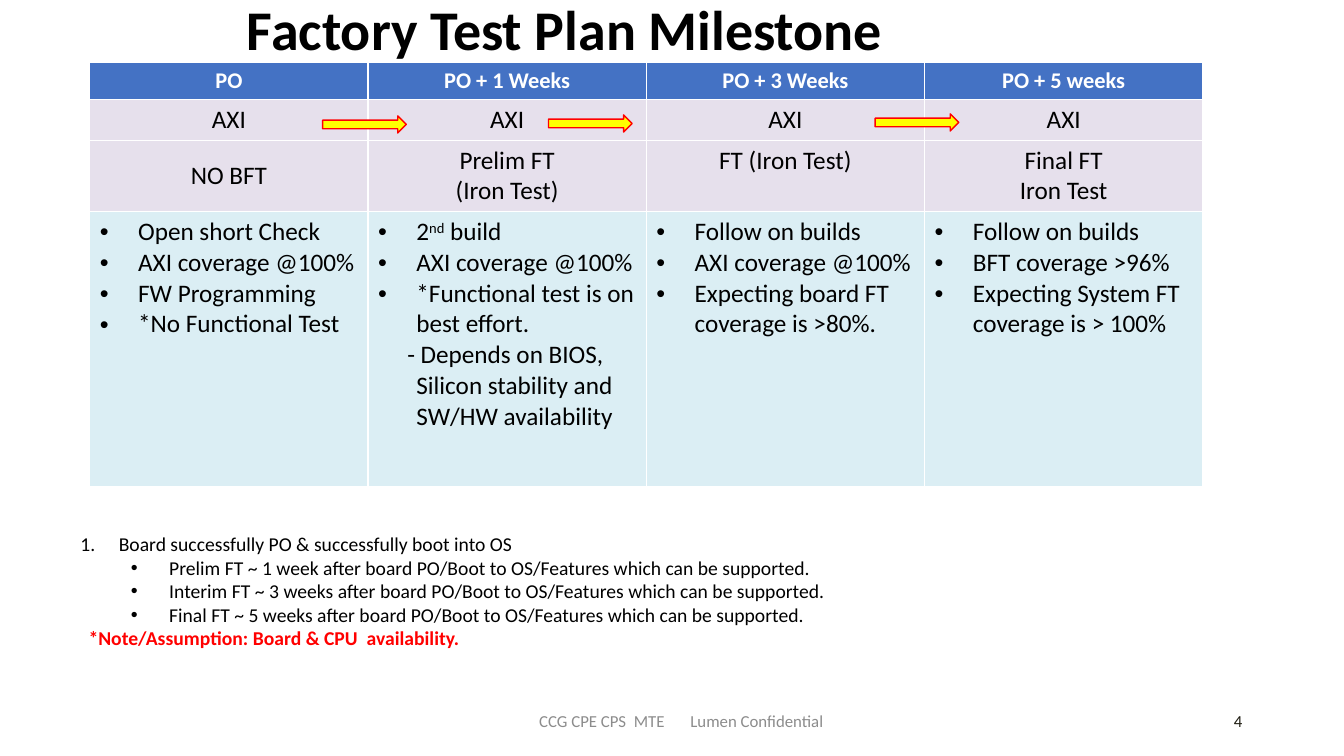
from lxml import etree
from pptx import Presentation
from pptx.dml.color import RGBColor
from pptx.enum import shapes, text
from pptx.oxml import ns
from pptx.util import Pt

PX = 9144
FACE = "Calibri"
BLACK = RGBColor(0x00, 0x00, 0x00)
WHITE = RGBColor(0xFF, 0xFF, 0xFF)
GRAY = RGBColor(0x8C, 0x8C, 0x8C)
DARK = RGBColor(0x1E, 0x1C, 0x11)
RED = RGBColor(0xFF, 0x00, 0x00)
YELLOW = RGBColor(0xFF, 0xFF, 0x00)
BLUE = RGBColor(0x44, 0x72, 0xC4)
LILAC = RGBColor(0xE6, 0xE0, 0xEC)
AQUA = RGBColor(0xDB, 0xEE, 0xF4)

LEFT = text.PP_ALIGN.LEFT
CENTER = text.PP_ALIGN.CENTER
RIGHT = text.PP_ALIGN.RIGHT
TOP = text.MSO_ANCHOR.TOP
MIDDLE = text.MSO_ANCHOR.MIDDLE

HEADS = ["PO", "PO + 1 Weeks", "PO + 3 Weeks", "PO + 5 weeks"]
SCANS = ["AXI"] * 4
STAGES = [["NO BFT"], ["Prelim FT", "(Iron Test)"], ["FT (Iron Test)"], ["Final FT", "Iron Test"]]
TASKS = [
    ["Open short Check", "AXI coverage @100%", "FW Programming", "*No Functional Test"],
    [("2", "nd", " build"), "AXI coverage @100%", "*Functional test is on best effort.",
     "- Depends on BIOS, Silicon stability and SW/HW availability"],
    ["Follow on builds", "AXI coverage @100%", "Expecting board FT coverage is >80%."],
    ["Follow on builds", "BFT coverage >96%", "Expecting System FT coverage is > 100%"],
]
PHASES = [("Prelim", "1 week"), ("Interim", "3 weeks"), ("Final", "5 weeks")]
ARROWS = [(320, 115), (544, 114), (868, 113)]


def scale(*sizes):
    return [size * PX for size in sizes]


def indent(para, left, first=0, mark=None):
    props = para._p.get_or_add_pPr()
    props.set("marL", str(left * PX))
    props.set("indent", str(first * PX))
    if mark == "1.":
        etree.SubElement(props, ns.qn("a:buAutoNum"), type="arabicPeriod")
    elif mark:
        etree.SubElement(props, ns.qn("a:buFont"), typeface="Arial")
        etree.SubElement(props, ns.qn("a:buChar"), char=mark)


def tab(para, pos):
    tabs = etree.SubElement(para._p.get_or_add_pPr(), ns.qn("a:tabLst"))
    etree.SubElement(tabs, ns.qn("a:tab"), pos=str(pos * PX), algn="l")


def style(para, size, color, align=LEFT, bold=False):
    para.alignment = align
    font = para.font
    font.name, font.size, font.bold = FACE, Pt(size), bold
    font.color.rgb = color


def lines(frame, count):
    return [frame.paragraphs[0]] + [frame.add_paragraph() for _ in range(count - 1)]


def add_box(slide, *area, anchor=MIDDLE):
    frame = slide.shapes.add_textbox(*scale(*area)).text_frame
    frame.word_wrap = True
    frame.vertical_anchor = anchor
    return frame


def add_title(slide, words):
    title = slide.shapes.title
    title.left, title.top, title.width, title.height = scale(110, 1, 900, 62)
    frame = title.text_frame
    frame.text = words
    frame.auto_size = text.MSO_AUTO_SIZE.NONE
    frame.vertical_anchor = MIDDLE
    para = frame.paragraphs[0]
    para.line_spacing = 0.9
    style(para, 40, BLACK, CENTER, True)


def paint(cell, fill, anchor=MIDDLE):
    cell.fill.solid()
    cell.fill.fore_color.rgb = fill
    cell.vertical_anchor = anchor


def fill_label(cell, words, fill, size=18, color=BLACK, bold=False, anchor=MIDDLE):
    paint(cell, fill, anchor)
    for para, line in zip(lines(cell.text_frame, len(words)), words):
        para.text = line
        style(para, size, color, CENTER, bold)


def fill_tasks(cell, tasks):
    paint(cell, AQUA, TOP)
    for para, task in zip(lines(cell.text_frame, len(tasks)), tasks):
        if isinstance(task, tuple):
            runs = [para.add_run() for _ in task]
            for run, part in zip(runs, task):
                run.text = part
            runs[1].font._element.set("baseline", "30000")
        else:
            para.text = task
        if para.text.startswith("-"):
            indent(para, 38, -9)
        else:
            indent(para, 38, -38, "•")
        style(para, 18, BLACK)


def add_plan(slide):
    table = slide.shapes.add_table(4, 4, *scale(89, 62, 1103, 420)).table
    table.horz_banding = False
    for col in table.columns:
        col.width = 276 * PX
    for row, height in zip(table.rows, (37, 40, 71, 273)):
        row.height = height * PX
    for col, (head, scan, stage, tasks) in enumerate(zip(HEADS, SCANS, STAGES, TASKS)):
        fill_label(table.cell(0, col), [head], BLUE, 16, WHITE, True)
        fill_label(table.cell(1, col), [scan], LILAC)
        fill_label(table.cell(2, col), stage, LILAC, anchor=TOP if col == 2 else MIDDLE)
        fill_tasks(table.cell(3, col), tasks)


def add_notes(slide):
    frame = add_box(slide, 70, 523, 1220, 130, anchor=TOP)
    first, *rest, last = lines(frame, len(PHASES) + 2)
    first.text = "Board successfully PO & successfully boot into OS"
    indent(first, 38, -38, "1.")
    style(first, 14, BLACK)
    for para, (phase, time) in zip(rest, PHASES):
        para.text = f"{phase} FT ~ {time} after board PO/Boot to OS/Features which can be supported."
        para.level = 1
        indent(para, 88, -38, "•")
        style(para, 14, BLACK)
    last.text = "*Note/Assumption: Board & CPU  availability."
    indent(last, 8)
    style(last, 14, RED, bold=True)


def add_arrow(slide, left, top):
    arrow = slide.shapes.add_shape(shapes.MSO_SHAPE.RIGHT_ARROW, *scale(left, top, 83, 17))
    arrow.shadow.inherit = False
    arrow.fill.solid()
    arrow.fill.fore_color.rgb = YELLOW
    arrow.line.color.rgb = RED
    arrow.line.width = Pt(1)


def add_footer(slide):
    para = add_box(slide, 442, 695, 450, 40).paragraphs[0]
    para.text = "CCG CPE CPS  MTE\tLumen Confidential"
    indent(para, 83)
    tab(para, 227)
    style(para, 12, GRAY)
    page = add_box(slide, 942, 695, 300, 40).paragraphs[0]
    page.text = "4"
    style(page, 12, DARK, RIGHT)


def main():
    deck = Presentation()
    deck.slide_width, deck.slide_height = scale(1333, 750)
    slide = deck.slides.add_slide(deck.slide_layouts[5])
    add_footer(slide)
    add_plan(slide)
    add_title(slide, "Factory Test Plan Milestone")
    add_notes(slide)
    for spot in ARROWS:
        add_arrow(slide, *spot)
    deck.save("out.pptx")


if __name__ == "__main__":
    main()
